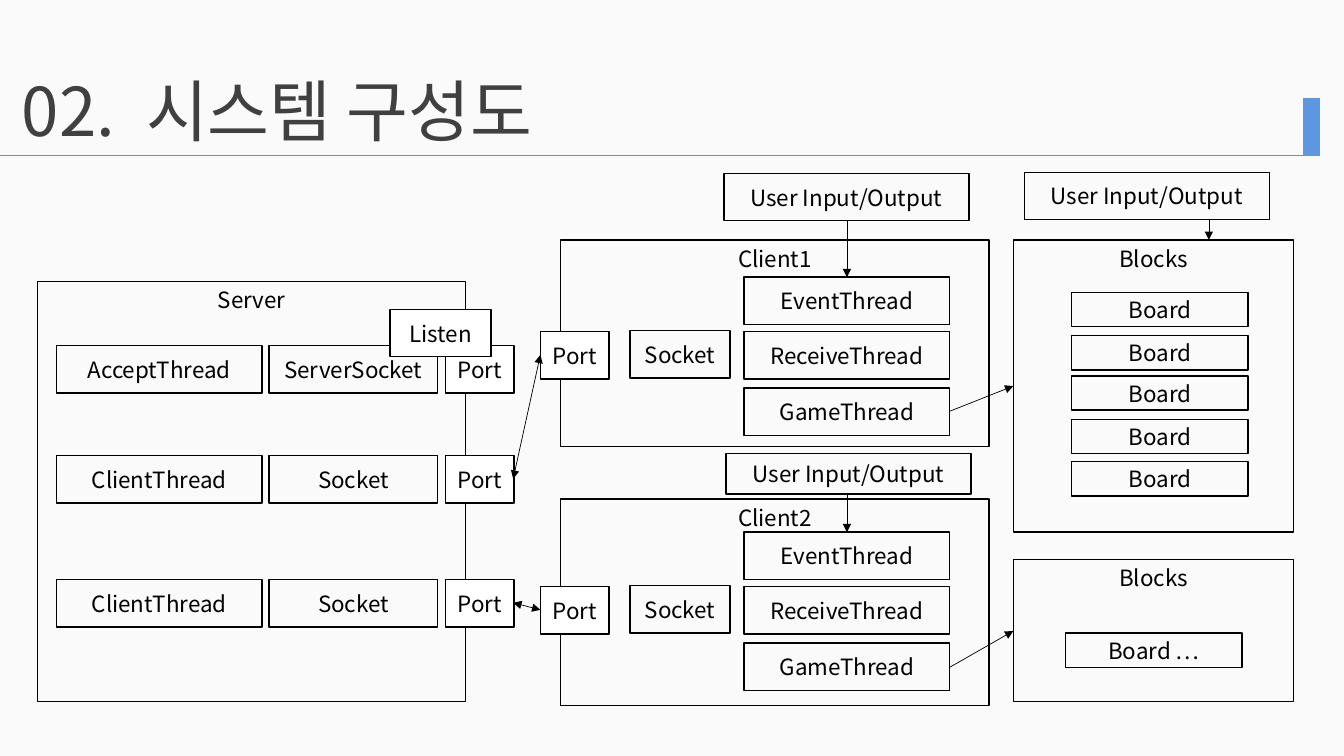
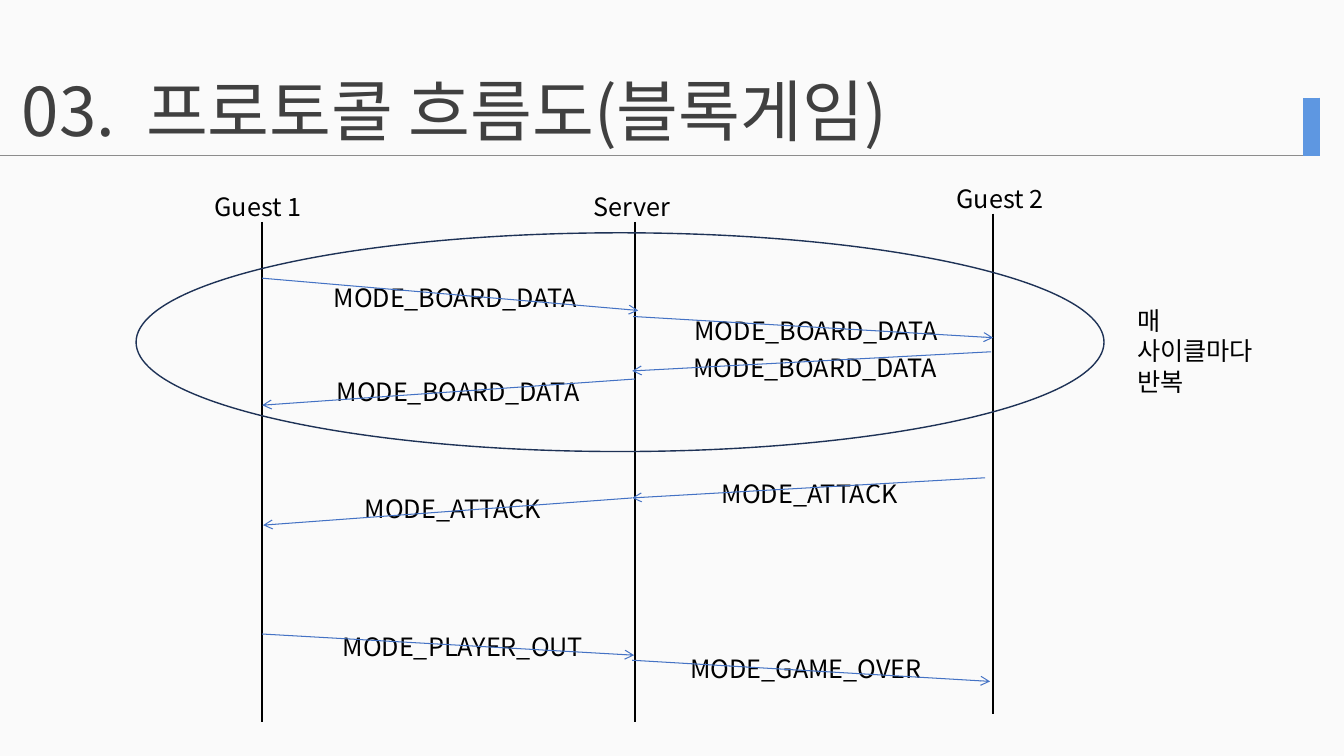
from lxml.etree import SubElement
from pptx import Presentation
from pptx.dml.color import RGBColor
from pptx.enum.shapes import MSO_CONNECTOR, MSO_SHAPE
from pptx.enum.text import MSO_ANCHOR, MSO_AUTO_SIZE, PP_ALIGN
from pptx.oxml.ns import qn
from pptx.util import Inches, Pt

COLORS = {
    "background": "FAFAFA",
    "title": "404040",
    "rule": "8C8C8C",
    "accent": "5E97E1",
    "ink": "000000",
    "port": "FFFFFF",
    "message": "4472C4",
    "cycle": "1E3256",
}
FONT = "Noto Sans CJK KR"
TITLE_SIZE = 48
NODE_SIZE = 16
LABEL_SIZE = 18
NODE_HEIGHT = 0.47
THREAD_WIDTH = 2.04
PORT_WIDTH = 0.68
USER_WIDTH = 2.43


def color(name):
    return RGBColor.from_string(COLORS[name])


def inches(*lengths):
    return [Inches(length) for length in lengths]


def format_text(shape, text, size, ink="ink", align=PP_ALIGN.LEFT,
                anchor=MSO_ANCHOR.MIDDLE, wrap=True):
    frame = shape.text_frame
    frame.text = text
    frame.word_wrap = wrap
    frame.auto_size = MSO_AUTO_SIZE.NONE
    frame.vertical_anchor = anchor
    paragraph = frame.paragraphs[0]
    paragraph.alignment = align
    for run in paragraph.runs:
        run.font.name = FONT
        run.font.size = Pt(size)
        run.font.color.rgb = color(ink)
        properties = run.font._element
        SubElement(properties, qn("a:ea")).set("typeface", FONT)


def add_label(slide, text, box, size=LABEL_SIZE, ink="ink"):
    label = slide.shapes.add_textbox(*inches(*box))
    format_text(label, text, size, ink)
    return label


def add_line(slide, start, end, ink="ink", width=0.5, head=None, tail=None):
    line = slide.shapes.add_connector(
        MSO_CONNECTOR.STRAIGHT, *inches(*start, *end))
    line.line.color.rgb = color(ink)
    line.line.width = Pt(width)
    SubElement(line._element.spPr, qn("a:effectLst"))
    outline = line.line._get_or_add_ln()
    for tag, kind in (("a:headEnd", head), ("a:tailEnd", tail)):
        if kind:
            SubElement(outline, qn(tag)).set("type", kind)


def add_outline(slide, preset, box, ink="ink", fill=None):
    shape = slide.shapes.add_shape(preset, *inches(*box))
    shape.shadow.inherit = False
    if fill:
        shape.fill.solid()
        shape.fill.fore_color.rgb = color(fill)
    else:
        shape.fill.background()
    shape.line.color.rgb = color(ink)
    shape.line.width = Pt(1)
    return shape


def add_node(slide, text, left, top, width, height=NODE_HEIGHT, fill=None,
             anchor=MSO_ANCHOR.MIDDLE):
    node = add_outline(slide, MSO_SHAPE.RECTANGLE, (left, top, width, height),
                       fill=fill)
    format_text(node, text, NODE_SIZE, align=PP_ALIGN.CENTER, anchor=anchor,
                wrap=False)


def add_container(slide, text, box):
    add_node(slide, text, *box, anchor=MSO_ANCHOR.TOP)


def add_titled_slide(presentation, number, title_text):
    slide = presentation.slides.add_slide(presentation.slide_layouts[5])
    title = slide.shapes.title
    title.left, title.top, title.width, title.height = inches(
        1.35, 0.63, 8.25, 0.91)
    format_text(title, title_text, TITLE_SIZE, "title")
    add_label(slide, number, (0.12, 0.63, 1.3, 0.91), TITLE_SIZE, "title")
    add_line(slide, (0, 1.54), (13.09, 1.54), "rule")
    add_line(slide, (13.01, 0.97), (13.01, 1.55), "accent", 12)
    return slide


def add_server(slide, left, top):
    add_container(slide, "Server", (left, top, 4.25, 4.17))
    rows = [
        ("AcceptThread", "ServerSocket", 0.64),
        ("ClientThread", "Socket", 1.73),
        ("ClientThread", "Socket", 2.96),
    ]
    for thread, socket, offset in rows:
        add_node(slide, thread, left + 0.19, top + offset, THREAD_WIDTH)
        add_node(slide, socket, left + 2.3, top + offset, 1.67)
        add_node(slide, "Port", left + 4.05, top + offset, PORT_WIDTH,
                 fill="port")
    add_node(slide, "Listen", left + 3.5, top + 0.28, 1, fill="port")


def add_client(slide, name, left, top, stack_top):
    add_container(slide, name, (left, top, 4.25, 2.05))
    threads = [("EventThread", 0), ("ReceiveThread", 0.54),
               ("GameThread", 1.1)]
    for thread, offset in threads:
        add_node(slide, thread, left + 1.82, stack_top + offset, THREAD_WIDTH)
    add_node(slide, "Socket", left + 0.69, stack_top + 0.53, 0.99)
    add_node(slide, "Port", left - 0.2, stack_top + 0.54, PORT_WIDTH,
             fill="port")


def add_game(slide, box, boards, board_left):
    left, top = box[:2]
    add_container(slide, "Blocks", box)
    for text, offset in boards:
        add_node(slide, text, left + board_left, top + offset, 1.75, 0.34)


def add_user(slide, left, top, height, arrow_left, arrow_end):
    add_node(slide, "User Input/Output", left, top, USER_WIDTH, height)
    add_line(slide, (arrow_left, top + height), (arrow_left, arrow_end),
             tail="triangle")


def build_system_slide(presentation):
    slide = add_titled_slide(presentation, "02.", "시스템 구성도")
    add_server(slide, 0.37, 2.79)
    add_client(slide, "Client1", 5.56, 2.38, 2.75)
    add_client(slide, "Client2", 5.56, 4.95, 5.28)
    boards = [("Board", offset) for offset in (0.52, 0.95, 1.35, 1.78, 2.2)]
    add_game(slide, (10.05, 2.38, 2.78, 2.9), boards, 0.58)
    add_game(slide, (10.05, 5.55, 2.78, 1.41), [("Board …", 0.73)], 0.52)
    add_user(slide, 7.18, 1.72, 0.47, 8.4, 2.75)
    add_user(slide, 7.2, 4.5, 0.4, 8.4, 5.28)
    add_user(slide, 10.16, 1.71, 0.47, 11.99, 2.38)
    for start, end in [((5.09, 4.75), (5.36, 3.52)),
                       ((5.09, 5.98), (5.36, 6.05))]:
        add_line(slide, start, end, head="triangle", tail="triangle")
    for start, end in [((9.42, 4.08), (10.05, 3.83)),
                       ((9.42, 6.62), (10.05, 6.26))]:
        add_line(slide, start, end, tail="triangle")


def add_lifeline(slide, name, center, top, label_left):
    add_line(slide, (center, top), (center, top + 4.96), width=1.5)
    add_label(slide, name, (label_left, top - 0.35, 1.2, 0.4))


def add_message(slide, text, label_left, label_top, start, end):
    add_label(slide, text, (label_left, label_top, 2.69, 0.4))
    add_line(slide, start, end, "message", 0.75, tail="arrow")


def build_protocol_slide(presentation):
    slide = add_titled_slide(presentation, "03.", "프로토콜 흐름도(블록게임)")
    lifelines = [
        ("Guest 1", 2.6, 2.2, 2.03),
        ("Server", 6.3, 2.2, 5.79),
        ("Guest 2", 9.85, 2.12, 9.39),
    ]
    for lifeline in lifelines:
        add_lifeline(slide, *lifeline)
    messages = [
        ("MODE_BOARD_DATA", 3.21, 2.75, (2.6, 2.76), (6.33, 3.08)),
        ("MODE_BOARD_DATA", 6.79, 3.08, (6.28, 3.14), (9.85, 3.35)),
        ("MODE_BOARD_DATA", 6.78, 3.45, (9.83, 3.49), (6.27, 3.68)),
        ("MODE_BOARD_DATA", 3.24, 3.68, (6.3, 3.76), (2.6, 4.02)),
        ("MODE_ATTACK", 7.06, 4.7, (9.77, 4.74), (6.27, 4.94)),
        ("MODE_ATTACK", 3.52, 4.84, (6.27, 4.94), (2.61, 5.21)),
        ("MODE_PLAYER_OUT", 3.3, 6.21, (2.6, 6.29), (6.29, 6.5)),
        ("MODE_GAME_OVER", 6.75, 6.43, (6.27, 6.55), (9.82, 6.76)),
    ]
    for message in messages:
        add_message(slide, *message)
    add_outline(slide, MSO_SHAPE.OVAL, (1.35, 2.31, 9.6, 2.17), "cycle")
    note = add_label(slide, "매 사이클마다 반복", (11.18, 2.98, 1.4, 1))
    note.text_frame.paragraphs[0].line_spacing = Pt(21.6)


def main():
    presentation = Presentation()
    presentation.slide_width, presentation.slide_height = inches(13.33, 7.5)
    background = presentation.slide_master.background.fill
    background.solid()
    background.fore_color.rgb = color("background")
    build_system_slide(presentation)
    build_protocol_slide(presentation)
    presentation.save("out.pptx")


if __name__ == "__main__":
    main()
